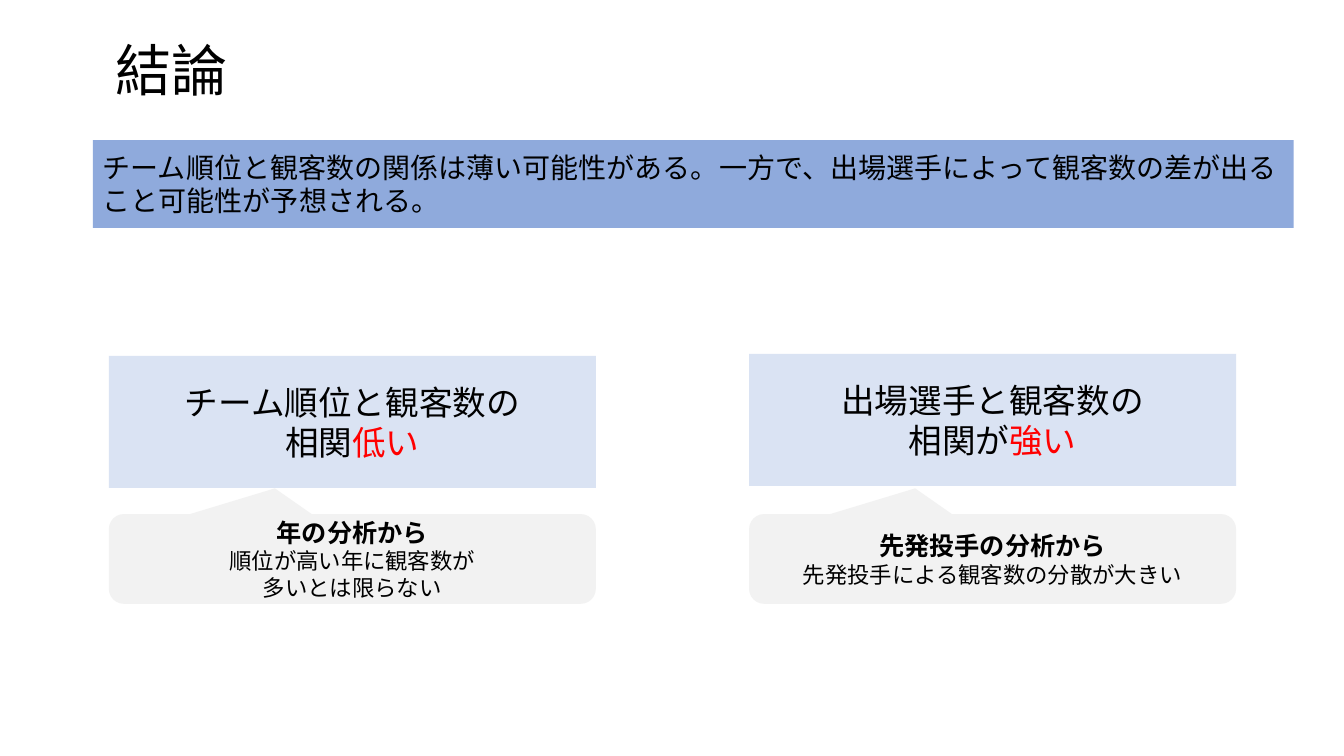
from lxml import etree
from pptx import Presentation
from pptx import util as u
from pptx.dml.color import RGBColor
from pptx.enum import shapes, text
from pptx.oxml.ns import qn

FONT = "Noto Sans CJK JP"
BLACK, RED = "000000", "FF0000"
KIND = shapes.MSO_SHAPE
ALIGN = text.PP_ALIGN


def color(code):
    return RGBColor.from_string(code)


def add_run(para, words, size, tint=BLACK, bold=False):
    run = para.add_run()
    run.text = words
    font = run.font
    font.size, font.bold, font.name = u.Pt(size), bold, FONT
    font.color.rgb = color(tint)
    # East Asian typeface
    etree.SubElement(font._element, qn("a:ea")).set("typeface", FONT)


def fill_text(frame, lines, align):
    """Each line is a list of runs: (words, size, tint, bold)."""
    frame.word_wrap = True
    frame.vertical_anchor = text.MSO_ANCHOR.MIDDLE
    for i, runs in enumerate(lines):
        para = frame.add_paragraph() if i else frame.paragraphs[0]
        para.alignment = align
        for run in runs:
            add_run(para, *run)


def add_panel(slide, kind, box, fill, lines, align=ALIGN.CENTER):
    panel = slide.shapes.add_shape(kind, *map(u.Inches, box))
    panel.shadow.inherit = False
    panel.fill.solid()
    panel.fill.fore_color.rgb = color(fill)
    panel.line.fill.background()
    fill_text(panel.text_frame, lines, align)
    return panel


def add_title(slide, box, words):
    title = slide.shapes.title
    title.left, title.top, title.width, title.height = map(u.Inches, box)
    fill_text(title.text_frame, [[(words, 40)]], ALIGN.LEFT)
    title.text_frame.paragraphs[0].line_spacing = 0.9


def add_claim(slide, box, drop, topic, lead, key, source, notes):
    """Finding on top, callout with its evidence at the given drop."""
    left, top, width, height = box
    add_panel(slide, KIND.RECTANGLE, box, "DAE3F3",
              [[(topic, 24)], [(lead, 24), (key, 24, RED)]])
    lines = [[(source, 18, BLACK, True)]] + [[(note, 16)] for note in notes]
    callout = add_panel(slide, KIND.ROUNDED_RECTANGULAR_CALLOUT,
                        (left, top + drop, width, 0.89), "F2F2F2", lines)
    for i, value in enumerate((-0.159, -0.787, 0.167)):
        callout.adjustments[i] = value


deck = Presentation()
deck.slide_width, deck.slide_height = u.Inches(13.33), u.Inches(7.5)
slide = deck.slides.add_slide(deck.slide_layouts[5])

# Title and summary band
add_title(slide, (0.92, 0, 11.5, 1.45), " 結論")
summary = ("チーム順位と観客数の関係は薄い可能性がある。一方で、"
           "出場選手によって観客数の差が出ること可能性が予想される。")
add_panel(slide, KIND.RECTANGLE, (0.92, 1.39, 11.91, 0.87), "8FAADC",
          [[(summary, 20)]], ALIGN.LEFT)

# Two findings
add_claim(slide, (1.08, 3.53, 4.83, 1.31), 1.57,
          "チーム順位と観客数の", "相関", "低い",
          "年の分析から", ["順位が高い年に観客数が", "多いとは限らない"])
add_claim(slide, (7.43, 3.51, 4.83, 1.31), 1.59,
          "出場選手と観客数の", "相関が", "強い",
          "先発投手の分析から", ["先発投手による観客数の分散が大きい"])

deck.save("out.pptx")
